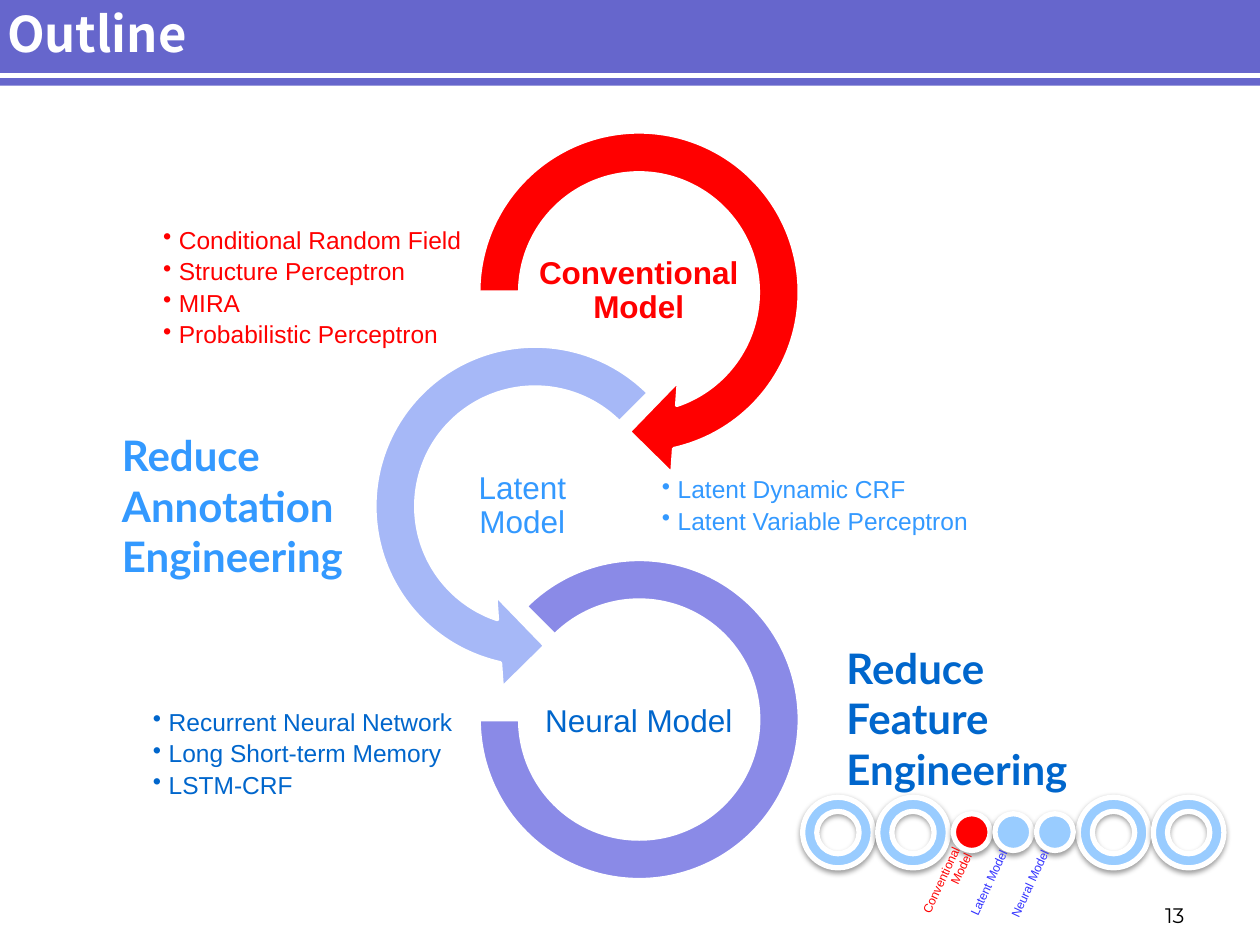
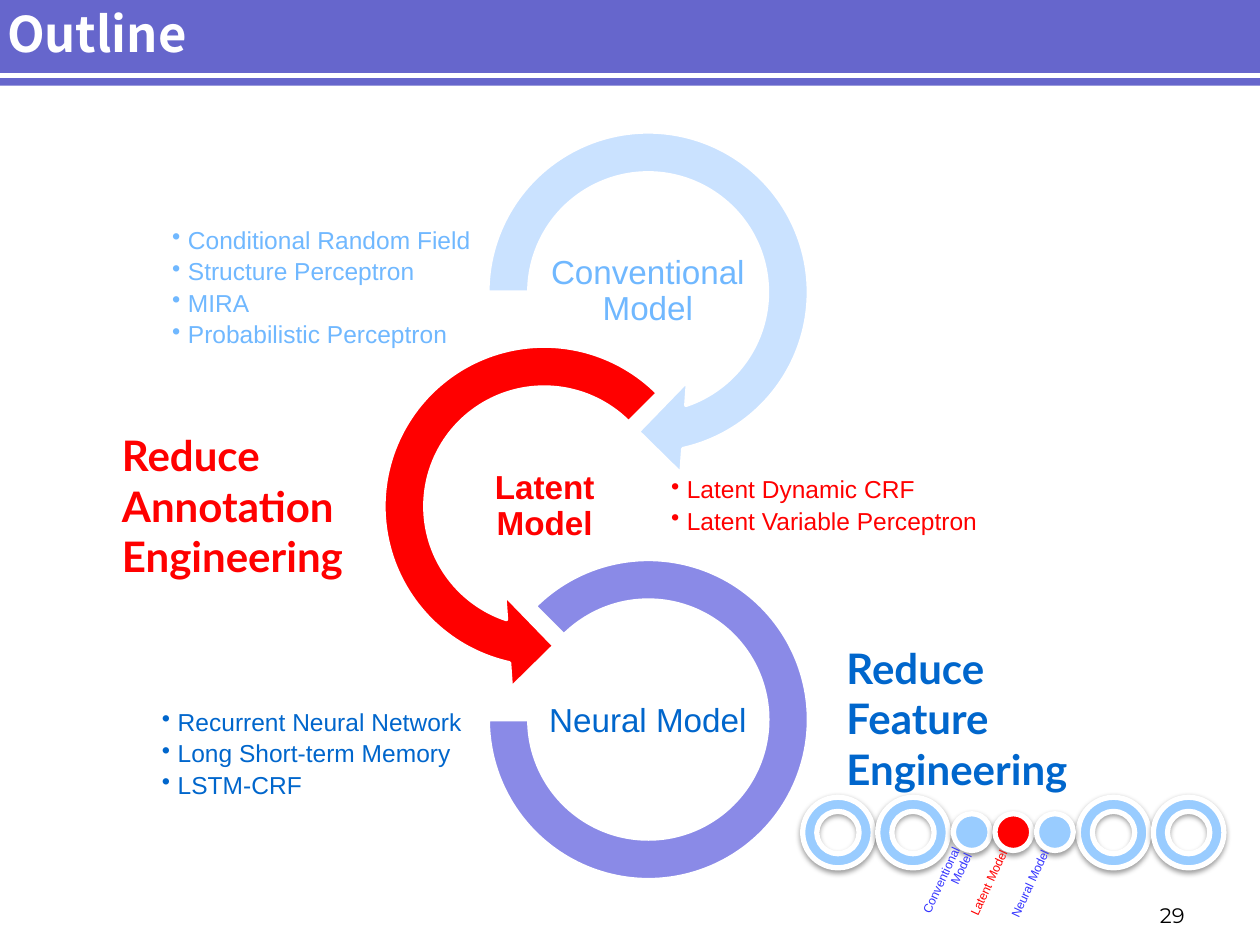
from dataclasses import dataclass

from lxml import etree
from pptx import Presentation
from pptx.dml.color import RGBColor
from pptx.enum.shapes import MSO_CONNECTOR, MSO_SHAPE
from pptx.enum.text import MSO_ANCHOR, PP_ALIGN
from pptx.oxml import parse_xml
from pptx.oxml.ns import qn
from pptx.util import Pt

LEFT, CENTER, RIGHT = PP_ALIGN.LEFT, PP_ALIGN.CENTER, PP_ALIGN.RIGHT
TOP, MIDDLE, BOTTOM = MSO_ANCHOR.TOP, MSO_ANCHOR.MIDDLE, MSO_ANCHOR.BOTTOM
DEFAULT_INSETS = (7.2, 3.6, 7.2, 3.6)
THIN_INSETS = (1, 1, 1, 1)
BODY, TITLE, CLAIM, NUMBER = "Arial", "Noto Sans CJK SC", "Lato", "Montserrat"

COLORS = {
    "band": "6666CC", "white": "FFFFFF", "black": "000000",
    "active": "FF0000", "dot": "99CCFF", "dot_label": "3333FF",
    "conventional_ring": "CAE2FF", "conventional_text": "70B8FF",
    "latent_ring": "A6B8F7", "latent_text": "3399FF",
    "neural_ring": "8A8AE7", "neural_text": "0066CC",
}

DOT_SHADOW = """
<a:effectLst xmlns:a="http://schemas.openxmlformats.org/drawingml/2006/main">
  <a:outerShdw blurRad="39370" dist="20320" dir="5400000" rotWithShape="0">
    <a:srgbClr val="000000"><a:alpha val="38000"/></a:srgbClr>
  </a:outerShdw>
</a:effectLst>"""


@dataclass
class Stage:
    key: str
    name: str
    methods: list
    shape: MSO_SHAPE
    adjustments: tuple
    ring: tuple
    label: tuple
    bullets: tuple
    stagger: float = 0


STAGES = [
    Stage("conventional", "Conventional Model",
          ["Conditional Random Field", "Structure Perceptron", "MIRA",
           "Probabilistic Perceptron"],
          MSO_SHAPE.CIRCULAR_ARROW, (0.11, 11.42, 45, 108, 0.125),
          (258.7, 60.5, 213), (306, 137), (92.2, 122.4)),
    Stage("latent", "Latent Model",
          ["Latent Dynamic CRF", "Latent Variable Perceptron"],
          MSO_SHAPE.LEFT_CIRCULAR_ARROW, (0.11, 11.42, 63, 189, 0.125),
          (199.3, 182.9, 213), (247, 260), (377.3, 247), 15),
    Stage("neural", "Neural Model",
          ["Recurrent Neural Network", "Long Short-term Memory", "LSTM-CRF"],
          MSO_SHAPE.BLOCK_ARC, (135, 108, 0.127),
          (273.8, 319.7, 183), (306, 383), (86.4, 388.8)),
]


class Deck:
    def __init__(self):
        self.prs = Presentation()
        self.prs.slide_width, self.prs.slide_height = Pt(720), Pt(540)
        self.s = None

    def color(self, name):
        return RGBColor.from_string(COLORS[name])

    def shape(self, kind, x, y, w, h, fill, line=0, adjustments=()):
        sp = self.s.shapes.add_shape(kind, Pt(x), Pt(y), Pt(w), Pt(h))
        sp.shadow.inherit = False
        sp.fill.solid()
        sp.fill.fore_color.rgb = self.color(fill)
        if line:
            sp.line.color.rgb = self.color("white")
            sp.line.width = Pt(line)
        else:
            sp.line.fill.background()
        for i, value in enumerate(adjustments):
            sp.adjustments[i] = value
        return sp

    def rule(self, x1, y, x2, width):
        line = self.s.shapes.add_connector(
            MSO_CONNECTOR.STRAIGHT, Pt(x1), Pt(y), Pt(x2), Pt(y))
        line.line.color.rgb = self.color("white")
        line.line.width = Pt(width)
        etree.SubElement(line._element.spPr, qn("a:effectLst"))

    def text(self, text, x, y, w, h, size, color, font=BODY, bold=False,
             align=LEFT, anchor=MIDDLE, insets=DEFAULT_INSETS, spacing=None):
        sp = self.s.shapes.add_textbox(Pt(x), Pt(y), Pt(w), Pt(h))
        tf = sp.text_frame
        tf.word_wrap = True
        tf.vertical_anchor = anchor
        (tf.margin_left, tf.margin_top,
         tf.margin_right, tf.margin_bottom) = map(Pt, insets)
        tf.text = text
        for p in tf.paragraphs:
            p.alignment = align
            p.line_spacing = spacing
            for r in p.runs:
                r.font.size = Pt(size)
                r.font.name = font
                r.font.bold = bold
                r.font.color.rgb = self.color(color)
        return sp

    def bullets(self, items, x, y, color):
        sp = self.text("\n".join(items), x, y, 198.7, 85, 14, color,
                       insets=THIN_INSETS, spacing=0.9)
        for p in sp.text_frame.paragraphs:
            p.level = 1
            pPr = p._p.get_or_add_pPr()
            pPr.set("marL", str(Pt(9)))
            pPr.set("indent", str(-Pt(9)))
            etree.SubElement(pPr, qn("a:buChar"), char="•")
            p.space_after = Pt(2.8)

    def dot(self, kind, x, y, size, fill, adjustments=()):
        """Draw one step of the progress strip, with its soft shadow."""
        sp = self.shape(kind, x, y, size, size, fill, 3, adjustments)
        spPr = sp._element.spPr
        spPr.replace(spPr.find(qn("a:effectLst")), parse_xml(DOT_SHADOW))

    def frame(self, title, number):
        """Start a slide with its title band and slide number."""
        self.s = self.prs.slides.add_slide(self.prs.slide_layouts[6])
        self.shape(MSO_SHAPE.RECTANGLE, -3, -2, 723, 51, "band")
        self.rule(-3, 43.3, 720, 3)
        self.text(title, -3, 3.6, 631.5, 31, 28, "white", TITLE, True)
        self.text(str(number), 620.6, 508.3, 63.4, 25.2, 12, "black", NUMBER,
                  align=RIGHT, anchor=BOTTOM)

    def stage(self, stage, active, dx, size):
        """Draw a ring with its label and list of methods."""
        ring = "active" if active else f"{stage.key}_ring"
        color = "active" if active else f"{stage.key}_text"
        x, y, d = stage.ring
        self.shape(stage.shape, x + dx, y, d, d, ring, 2, stage.adjustments)
        x, y = stage.bullets
        self.bullets(stage.methods, x + dx, y, color)
        staggered = stage.stagger and not active
        name = stage.name.replace(" ", "\n") if staggered else stage.name
        x, y = stage.label
        sp = self.text(name, x + dx, y, 118, 59, size, color, bold=active,
                       align=CENTER, insets=THIN_INSETS, spacing=0.9)
        if staggered:
            pPr = sp.text_frame.paragraphs[0]._p.get_or_add_pPr()
            pPr.set("marR", str(Pt(stage.stagger)))

    def progress(self, active_key):
        for start in (458.7, 616.2):
            for i in range(2):
                self.dot(MSO_SHAPE.DONUT, start + 42.9 * i, 455.6, 40.3,
                         "dot", (0.2,))
        for i, stage in enumerate(STAGES):
            active = stage.key == active_key
            x = 544.8 + 23.75 * i
            self.dot(MSO_SHAPE.OVAL, x, 465, 21, "active" if active else "dot")
            sp = self.text(stage.name, x - 25, 494.6, 43.2, 21, 7,
                           "active" if active else "dot_label", align=RIGHT,
                           insets=(0, 0, 1, 0), spacing=0.9)
            sp.rotation = 295

    def claim(self, text, x, y, color):
        self.text(text, x, y, 167, 94.3, 24, color, CLAIM, True, anchor=TOP)

    def outline(self, number, active_key, dx, label_size):
        self.frame("Outline", number)
        for stage in STAGES:
            self.stage(stage, stage.key == active_key, dx, label_size)
        self.progress(active_key)
        self.claim("Reduce Annotation Engineering", 62.6, 242,
                   "active" if active_key == "latent" else "latent_text")
        self.claim("Reduce\nFeature Engineering", 476.6, 363.6, "neural_text")


def main():
    deck = Deck()
    deck.outline(13, "conventional", 0, 18)
    deck.outline(29, "latent", 5.2, 19)
    deck.prs.save("out.pptx")


if __name__ == "__main__":
    main()
